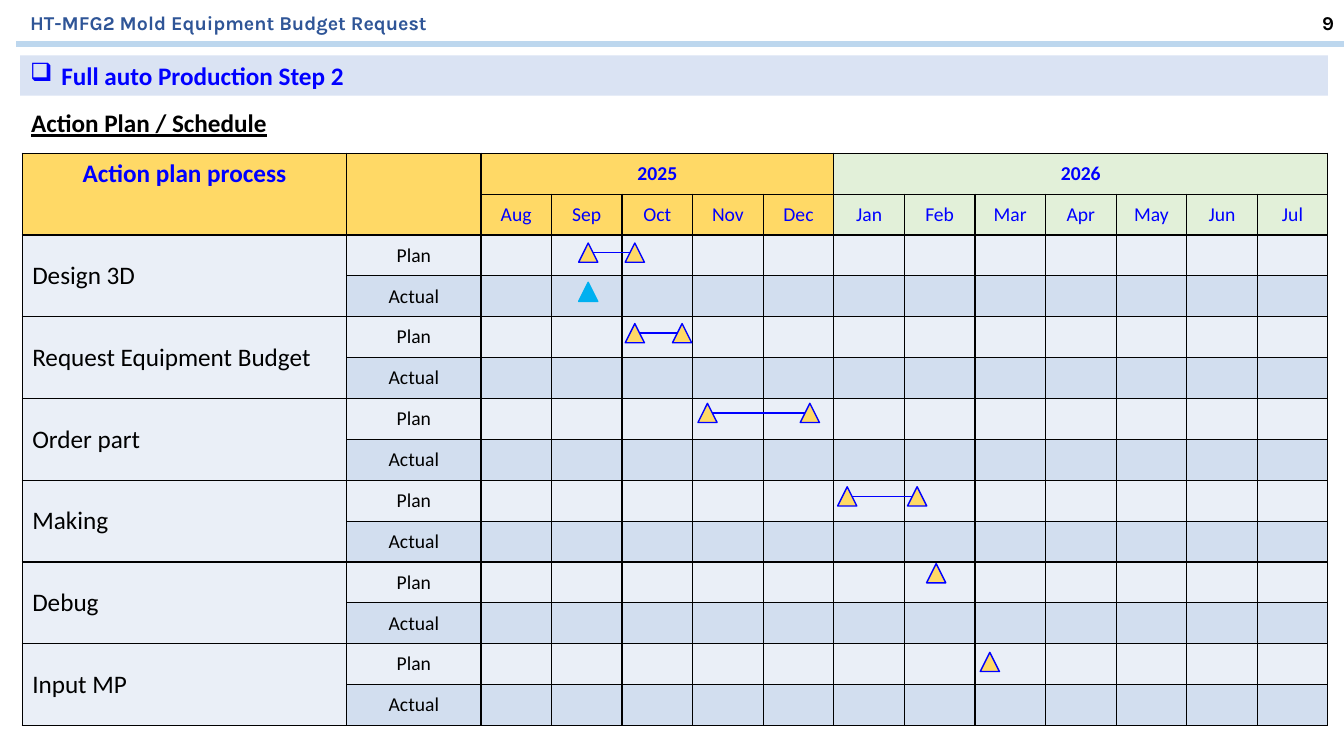
from lxml import etree
from pptx import Presentation, util as u
from pptx.dml import color
from pptx.enum import shapes, text
from pptx.oxml import ns

COLS, ROWS = 1333, 750
UNIT = u.Inches(0.01)
HUES = {
    "ink": "000000", "blue": "0000FF", "navy": "2F5597", "rule": "BDD7EE",
    "band": "DAE3F3", "gold": "FFD966", "green": "E2F0D9",
    "plan": "EAEFF7", "actual": "D2DEEF", "done": "00B0F0",
}
MONTHS = "Aug Sep Oct Nov Dec Jan Feb Mar Apr May Jun Jul".split()
YEARS = [("2025", 0, 5, "gold"), ("2026", 5, 12, "green")]
TASKS = ["Design 3D", "Request Equipment Budget", "Order part",
         "Making", "Debug", "Input MP"]
SPANS = [
    (2.43, [1.52, 2.18], "gold", "blue"),
    (3.39, [1.52], "done", "done"),
    (4.4, [2.18, 2.85], "gold", "blue"),
    (6.35, [3.21, 4.66], "gold", "blue"),
    (8.39, [5.19, 6.18], "gold", "blue"),
    (10.27, [6.45], "gold", "blue"),
    (12.44, [7.21], "gold", "blue"),
]
BODY = {"size": u.Pt(14), "name": "Calibri", "bold": False}
HEAD = {**BODY, "size": u.Pt(18), "bold": True}
TOP = {**BODY, "name": "Karla", "bold": True}
LEFT, MID, RIGHT = text.PP_ALIGN.LEFT, text.PP_ALIGN.CENTER, text.PP_ALIGN.RIGHT


def grid(*vals):
    return [round(v * UNIT) for v in vals]


def hue(key):
    return color.RGBColor.from_string(HUES[key])


def paint(part, key):
    part.solid()
    part.fore_color.rgb = hue(key)


def write(frame, words, form, key, side=LEFT):
    para = frame.paragraphs[0]
    para.alignment = side
    run = para.add_run()
    run.text = words
    for name, val in form.items():
        setattr(run.font, name, val)
    run.font.color.rgb = hue(key)
    return para


def label(page, box, words, form, key, side=LEFT):
    frame = page.shapes.add_textbox(*grid(*box)).text_frame
    frame.word_wrap = True
    write(frame, words, form, key, side)


def shape(page, kind, box, key):
    item = page.shapes.add_shape(kind, *grid(*box))
    item.shadow.inherit = False
    paint(item.fill, key)
    return item


def rule(page, ends, key, width):
    line = page.shapes.add_connector(shapes.MSO_CONNECTOR.STRAIGHT, *grid(*ends))
    line.line.color.rgb = hue(key)
    line.line.width = u.Pt(width)
    etree.SubElement(line._element.spPr, ns.qn("a:effectLst"))


def header(page, box):
    x, y, w, h = box
    label(page, (x + 4, y, 922, h), "HT-MFG2 Mold Equipment Budget Request",
          TOP, "navy")
    label(page, (x + w - 82, y, 82, h), "9", TOP, "ink", RIGHT)
    rule(page, (x, y + 38, x + w, y + 38), "rule", 4.5)


def title(page, box):
    x, y, w, h = box
    bar = shape(page, shapes.MSO_SHAPE.RECTANGLE, (x, y, w, 40), "band")
    bar.line.fill.background()
    para = write(bar.text_frame, "Full auto Production Step 2", HEAD, "blue")
    props = para._p.get_or_add_pPr()
    props.set("marL", str(31 * UNIT))
    props.set("indent", str(-31 * UNIT))
    etree.SubElement(props, ns.qn("a:buChar"), char="❑")
    label(page, (x + 1, y + h - 40, 309, 40), "Action Plan / Schedule",
          {**HEAD, "underline": True}, "ink")


def edge(cell):
    props = cell._tc.get_or_add_tcPr()
    for spot, tag in enumerate(("lnL", "lnR", "lnT", "lnB")):
        line = etree.Element(ns.qn("a:" + tag), w=str(u.Pt(1)))
        fill = etree.SubElement(line, ns.qn("a:solidFill"))
        etree.SubElement(fill, ns.qn("a:srgbClr"), val=HUES["ink"])
        props.insert(spot, line)


def tone(row, col):
    if row < 2:
        return "green" if col > 6 else "gold"
    return "actual" if row % 2 and col else "plan"


def put(cell, words, form, key, side=MID):
    cell.vertical_anchor = text.MSO_ANCHOR.MIDDLE
    write(cell.text_frame, words, form, key, side)


def table(page, box, wide):
    count = 2 + 2 * len(TASKS)
    tab = page.shapes.add_table(count, len(wide), *grid(*box)).table
    tab.first_row = tab.horz_banding = False
    for col, size in zip(tab.columns, wide):
        col.width = round(size * UNIT)
    for row in tab.rows:
        row.height = round(box[3] / count * UNIT)
    for r in range(count):
        for c in range(len(wide)):
            cell = tab.cell(r, c)
            paint(cell.fill, tone(r, c))
            edge(cell)
    for c in (0, 1):
        tab.cell(0, c).merge(tab.cell(1, c))
    write(tab.cell(0, 0).text_frame, "Action plan process", HEAD, "blue", MID)
    for year, start, stop, _ in YEARS:
        tab.cell(0, start + 2).merge(tab.cell(0, stop + 1))
        put(tab.cell(0, start + 2), year, {**BODY, "bold": True}, "blue")
    for c, month in enumerate(MONTHS, 2):
        put(tab.cell(1, c), month, BODY, "blue")
    for i, task in enumerate(TASKS):
        r = 2 + 2 * i
        tab.cell(r, 0).merge(tab.cell(r + 1, 0))
        put(tab.cell(r, 0), task, {**HEAD, "bold": False}, "ink", LEFT)
        put(tab.cell(r, 1), "Plan", BODY, "ink")
        put(tab.cell(r + 1, 1), "Actual", BODY, "ink")


def marks(page, box, size=19):
    x, y, w, h = box
    step, tall = w / len(MONTHS), h / (2 + 2 * len(TASKS))
    for row, dates, fill, line in SPANS:
        mid = y + row * tall
        spots = [x + date * step for date in dates]
        for spot in spots:
            mark = shape(page, shapes.MSO_SHAPE.ISOSCELES_TRIANGLE,
                         (spot - size / 2, mid - size / 2, size, size), fill)
            mark.line.color.rgb = hue(line)
            mark.line.width = u.Pt(1)
        if len(spots) > 1:
            rule(page, (spots[0] + size / 4, mid, spots[1] - size / 4, mid), line, 1)


def plan(page, box):
    x, y, w, h = box
    wide = [322, 133] + [70] * len(MONTHS)
    side = sum(wide[:2])
    table(page, box, wide)
    marks(page, (x + side, y, w - side, h))


def main():
    deck = Presentation()
    deck.slide_width, deck.slide_height = grid(COLS, ROWS)
    page = deck.slides.add_slide(deck.slide_layouts[6])
    header(page, (16, 6, COLS - 16, 35))
    title(page, (20, 55, 1297, 87))
    plan(page, (22, 152, 1295, 568))
    deck.save("out.pptx")


if __name__ == "__main__":
    main()
